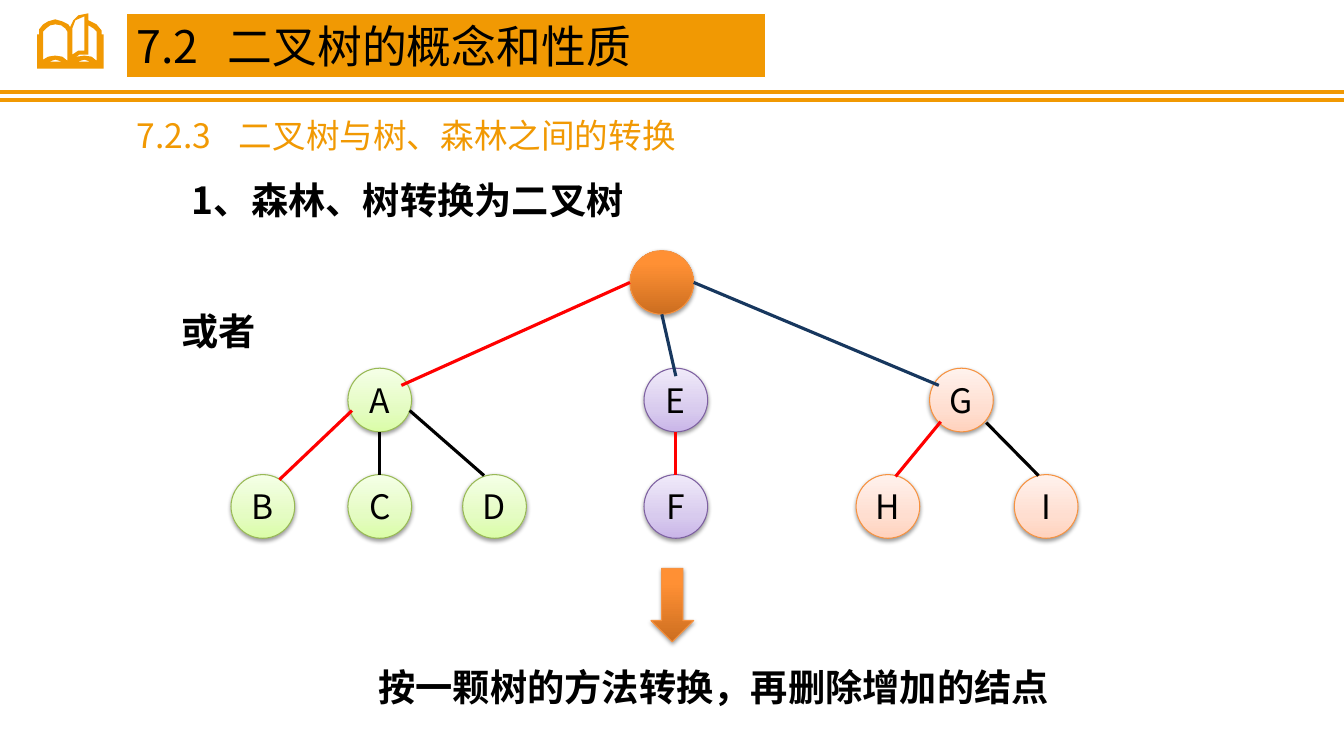
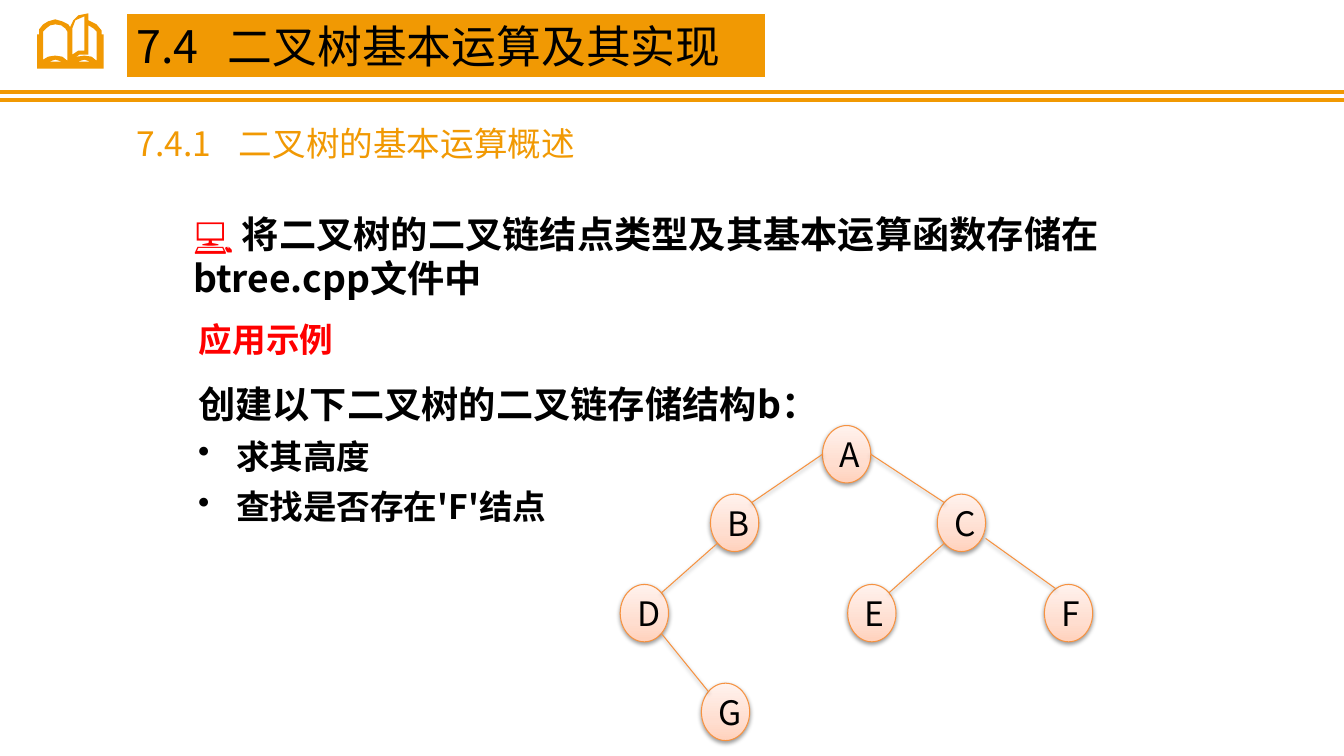
from lxml import etree
from pptx import Presentation
from pptx.dml.color import RGBColor
from pptx.enum.shapes import MSO_CONNECTOR, MSO_SHAPE
from pptx.enum.text import MSO_ANCHOR, PP_ALIGN
from pptx.oxml import parse_xml
from pptx.oxml.ns import qn
from pptx.util import Pt

DRAWING_NS = "http://schemas.openxmlformats.org/drawingml/2006/main"
FONT = "Noto Sans CJK SC"
ORANGE, BLACK, RED, NAVY, WHITE = "F19903", "000000", "FF0000", "17375E", "FFFFFF"
EDGE_ORANGE = "F69240"
HEADING = {"size": 26.6, "bold": True}

GREEN_NODE = ("98B955", [(0, "DAFDA7"), (35, "E4FCC2"), (100, "F5FFE7")])
PURPLE_NODE = ("7D60A0", [(0, "C9B5E8"), (35, "D8CBEE"), (100, "F0EAF9")])
PEACH_NODE = (EDGE_ORANGE, [(0, "FFD2BD"), (35, "FFDED0"), (100, "FFF2ED")])
STRONG_ORANGE = (EDGE_ORANGE, [(0, "CC6E20"), (80, "FF9034"), (100, "FF9136")])

TOP, BOTTOM, LEFT, RIGHT = (0, -1), (0, 1), (-1, 0), (1, 0)
TOP_LEFT, TOP_RIGHT = (-0.71, -0.71), (0.71, -0.71)
BOTTOM_LEFT, BOTTOM_RIGHT = (-0.71, 0.71), (0.71, 0.71)

BOOK_CONTOURS = [
    [(64, 21), (64, 17), (59, 11), (51, 7), (51, 0), (41, 2), (36, 7), (33, 13),
     (33, 14), (31, 11), (25, 8), (18, 6), (11, 8), (6, 11), (2, 16), (2, 21),
     (0, 21), (0, 55), (66, 55), (66, 21)],
    [(12, 48), (18, 46), (25, 48)],
    [(30, 47), (25, 43), (18, 42), (11, 43), (6, 46), (6, 18), (9, 15), (13, 12),
     (18, 11), (24, 12), (28, 15), (30, 18)],
    [(47, 3), (47, 37), (41, 37), (35, 41), (35, 15), (38, 7)],
    [(40, 48), (47, 46), (53, 48)],
    [(59, 47), (54, 43), (47, 42), (40, 43), (35, 46), (42, 41), (51, 41),
     (51, 12), (56, 15), (59, 18)],
]

FOREST_NODES = {
    "": (285, 0, STRONG_ORANGE),
    "A": (83.5, 84, GREEN_NODE), "B": (0, 160, GREEN_NODE),
    "C": (83.5, 160, GREEN_NODE), "D": (165.5, 160, GREEN_NODE),
    "E": (295, 84, PURPLE_NODE), "F": (295, 160, PURPLE_NODE),
    "G": (499, 84, PEACH_NODE), "H": (446.5, 160, PEACH_NODE),
    "I": (559.5, 160, PEACH_NODE),
}
FOREST_EDGES = [
    ("A", (-0.87, 0.33), "B", (0.52, -0.84), RED),
    ("E", BOTTOM, "F", TOP, RED),
    ("G", (-0.65, 0.68), "H", (0.24, -0.94), RED),
    ("A", BOTTOM, "C", TOP, BLACK),
    ("A", (0.94, 0.33), "D", (-0.33, -0.97), BLACK),
    ("G", (0.78, 0.71), "I", (-0.24, -0.97), BLACK),
    ("", LEFT, "A", (0.68, -0.46), RED),
    ("", BOTTOM, "E", (0, -0.75), NAVY),
    ("", RIGHT, "G", (-0.71, -0.46), NAVY),
]
BINARY_NODES = {
    "A": (144.5, 0, PEACH_NODE), "B": (64.5, 49, PEACH_NODE),
    "C": (226.5, 49, PEACH_NODE), "D": (0, 113.5, PEACH_NODE),
    "E": (162.5, 113.5, PEACH_NODE), "F": (303, 113.5, PEACH_NODE),
    "G": (58, 184, PEACH_NODE),
}
BINARY_EDGES = [
    ("A", LEFT, "B", TOP_RIGHT, EDGE_ORANGE),
    ("A", RIGHT, "C", TOP_LEFT, EDGE_ORANGE),
    ("B", BOTTOM_LEFT, "D", TOP_RIGHT, EDGE_ORANGE),
    ("C", BOTTOM_LEFT, "E", TOP_RIGHT, EDGE_ORANGE),
    ("C", (1, 0.54), "F", (-0.54, -0.86), EDGE_ORANGE),
    ("D", BOTTOM_RIGHT, "G", TOP_LEFT, EDGE_ORANGE),
]


def color(hex_value):
    """Turn a hex string into a colour."""
    return RGBColor.from_string(hex_value)


def apply(target, values):
    """Set each attribute named in a dict of format values."""
    for name, value in values.items():
        setattr(target, name, value)


def points(*lengths):
    """Turn numbers into point lengths."""
    return [Pt(length) for length in lengths]


def set_shadow(part, opacity=None):
    """Replace the theme shadow by a soft one, or by none."""
    part_format = part._element.spPr
    effects = etree.SubElement(part_format, qn("a:effectLst"))
    if opacity:
        outer = etree.SubElement(effects, qn("a:outerShdw"), blurRad=str(Pt(3.1)),
                                 dist=str(Pt(1.6)), dir="5400000", rotWithShape="0")
        tint = etree.SubElement(outer, qn("a:srgbClr"), val=BLACK)
        etree.SubElement(tint, qn("a:alpha"), val=str(opacity * 1000))


def set_gradient(shape, look):
    """Give a shape its outline and a gradient that rises from the bottom."""
    outline, stops = look
    marks = "".join(f'<a:gs pos="{place * 1000}"><a:srgbClr val="{tone}"/></a:gs>'
                    for place, tone in stops)
    gradient = parse_xml(f'<a:gradFill xmlns:a="{DRAWING_NS}" rotWithShape="1"><a:gsLst>{marks}'
                         '</a:gsLst><a:lin ang="16200000" scaled="0"/></a:gradFill>')
    shape._element.spPr.find(qn("a:prstGeom")).addnext(gradient)
    shape.line.color.rgb = color(outline)
    shape.line.width = Pt(0.75)
    set_shadow(shape, 38)


def add_run(paragraph, text, size, tone=BLACK, bold=False):
    """Append a run of text in the deck font."""
    run = paragraph.add_run()
    run.text = text
    apply(run.font, {"size": Pt(size), "bold": bold, "name": FONT})
    run.font.color.rgb = color(tone)
    etree.SubElement(run._r.get_or_add_rPr(), qn("a:ea"), typeface=FONT)


def set_tab(paragraph, position):
    """Place one left tab stop in a paragraph."""
    stops = etree.SubElement(paragraph._p.get_or_add_pPr(), qn("a:tabLst"))
    etree.SubElement(stops, qn("a:tab"), pos=str(Pt(position)), algn="l")


def set_bullet(paragraph, indent):
    """Give a paragraph a round bullet with a hanging indent."""
    properties = paragraph._p.get_or_add_pPr()
    properties.set("marL", str(Pt(indent)))
    properties.set("indent", str(Pt(-indent)))
    etree.SubElement(properties, qn("a:buChar"), char="•")


def text_area(slide, box, anchor=MSO_ANCHOR.MIDDLE):
    """Add a wrapping text box and return its text frame."""
    frame = slide.shapes.add_textbox(*points(*box)).text_frame
    apply(frame, {"word_wrap": True, "vertical_anchor": anchor})
    return frame


def text_line(slide, box, text, size, tone=BLACK, bold=False, align=PP_ALIGN.LEFT, tab=None):
    """Add a text box that holds one line."""
    paragraph = text_area(slide, box).paragraphs[0]
    paragraph.alignment = align
    if tab:
        set_tab(paragraph, tab)
    add_run(paragraph, text, size, tone, bold)


def straight_line(slide, start, end, tone, width, shadow=None):
    """Draw a straight line between two places."""
    line = slide.shapes.add_connector(MSO_CONNECTOR.STRAIGHT, *points(*start, *end))
    line.line.color.rgb = color(tone)
    line.line.width = Pt(width)
    set_shadow(line, shadow)


def book_icon(slide, left, top):
    """Draw the open book of the header."""
    first, *others = BOOK_CONTOURS
    builder = slide.shapes.build_freeform(*first[0], scale=Pt(0.72))
    builder.add_line_segments(first[1:])
    for contour in others:
        builder.move_to(*contour[0])
        builder.add_line_segments(contour[1:])
    book = builder.convert_to_shape(*points(left, top))
    book.fill.solid()
    book.fill.fore_color.rgb = color(ORANGE)
    book.line.fill.background()
    book.shadow.inherit = False


def header(slide, title, subtitle, subtitle_top):
    """Draw the double rule, the book, the title band and the subtitle."""
    for rule_top in (65.5, 71.5):
        straight_line(slide, (0, rule_top), (960, rule_top), ORANGE, 3)
    book_icon(slide, 26.5, 9.5)
    band = slide.shapes.add_shape(MSO_SHAPE.RECTANGLE, *points(90.5, 9.5, 456.5, 46))
    band.fill.solid()
    band.fill.fore_color.rgb = color(ORANGE)
    band.line.color.rgb = color(WHITE)
    band.line.width = Pt(0.75)
    band.shadow.inherit = False
    band.text_frame.vertical_anchor = MSO_ANCHOR.MIDDLE
    heading = band.text_frame.paragraphs[0]
    heading.alignment = PP_ALIGN.LEFT
    set_tab(heading, 65)
    add_run(heading, title, 32)
    text_line(slide, (90.5, subtitle_top, 456, 36), subtitle, 24, ORANGE, tab=73)


def tree(slide, origin, node_size, nodes, edges, edge_width, wrap=False, edge_shadow=None):
    """Draw nodes from an origin and join them; edge ends are fractions of a radius."""
    left, top = origin
    width, height = node_size
    for label, (x, y, look) in nodes.items():
        node = slide.shapes.add_shape(MSO_SHAPE.OVAL, *points(left + x, top + y, width, height))
        set_gradient(node, look)
        if label:
            apply(node.text_frame, {"word_wrap": wrap, "vertical_anchor": MSO_ANCHOR.MIDDLE})
            node.text_frame.paragraphs[0].alignment = PP_ALIGN.CENTER
            add_run(node.text_frame.paragraphs[0], label, 24)

    def rim(label, side):
        x, y, _ = nodes[label]
        return left + x + width * (1 + side[0]) / 2, top + y + height * (1 + side[1]) / 2

    for parent, parent_side, child, child_side, tone in edges:
        straight_line(slide, rim(parent, parent_side), rim(child, child_side),
                      tone, edge_width, edge_shadow)


def conversion_slide(slide):
    """Show a forest joined under an added root."""
    tree(slide, (165, 179), (45.5, 45.5), FOREST_NODES, FOREST_EDGES, 2.25)
    text_line(slide, (122.5, 216.5, 90, 39.5), "或者", **HEADING)
    arrow = slide.shapes.add_shape(MSO_SHAPE.DOWN_ARROW, *points(465, 406, 30.5, 52.5))
    set_gradient(arrow, STRONG_ORANGE)
    text_line(slide, (180, 471, 660, 39.5), "按一颗树的方法转换，再删除增加的结点",
              align=PP_ALIGN.CENTER, **HEADING)
    text_line(slide, (106, 122.5, 371, 39.5), "1、森林、树转换为二叉树",
              align=PP_ALIGN.CENTER, **HEADING)
    header(slide, "7.2\t二叉树的概念和性质", "7.2.3\t二叉树与树、森林之间的转换", 78.5)


def task_list(slide, box):
    """List the tasks of the example."""
    frame = text_area(slide, box, MSO_ANCHOR.TOP)
    lead = frame.paragraphs[0]
    lead.line_spacing = Pt(30)
    add_run(lead, "创建以下二叉树的二叉链存储结构b：", **HEADING)
    for task in ("求其高度", "查找是否存在'F'结点"):
        item = frame.add_paragraph()
        apply(item, {"line_spacing": Pt(30), "space_before": Pt(6)})
        set_bullet(item, 27)
        add_run(item, task, 24, bold=True)


def operations_slide(slide):
    """Show the example tasks beside a binary tree."""
    tree(slide, (443, 304), (34.5, 41), BINARY_NODES, BINARY_EDGES, 0.75, True, 38)
    storage = text_area(slide, (131, 147, 717, 72)).paragraphs[0]
    storage.line_spacing = Pt(31.5)
    add_run(storage, "💻 ", tone=RED, **HEADING)
    add_run(storage, "将二叉树的二叉链结点类型及其基本运算函数存储在btree.cpp文件中", **HEADING)
    text_line(slide, (135, 224.5, 180, 36), "应用示例", 24, RED, True)
    task_list(slide, (134.5, 270.5, 742.5, 110))
    header(slide, "7.4\t二叉树基本运算及其实现", "7.4.1\t二叉树的基本运算概述", 84.5)


def main():
    """Build and save the deck."""
    deck = Presentation()
    apply(deck, {"slide_width": Pt(960), "slide_height": Pt(540)})
    for build in (conversion_slide, operations_slide):
        build(deck.slides.add_slide(deck.slide_layouts[6]))
    deck.save("out.pptx")


if __name__ == "__main__":
    main()
